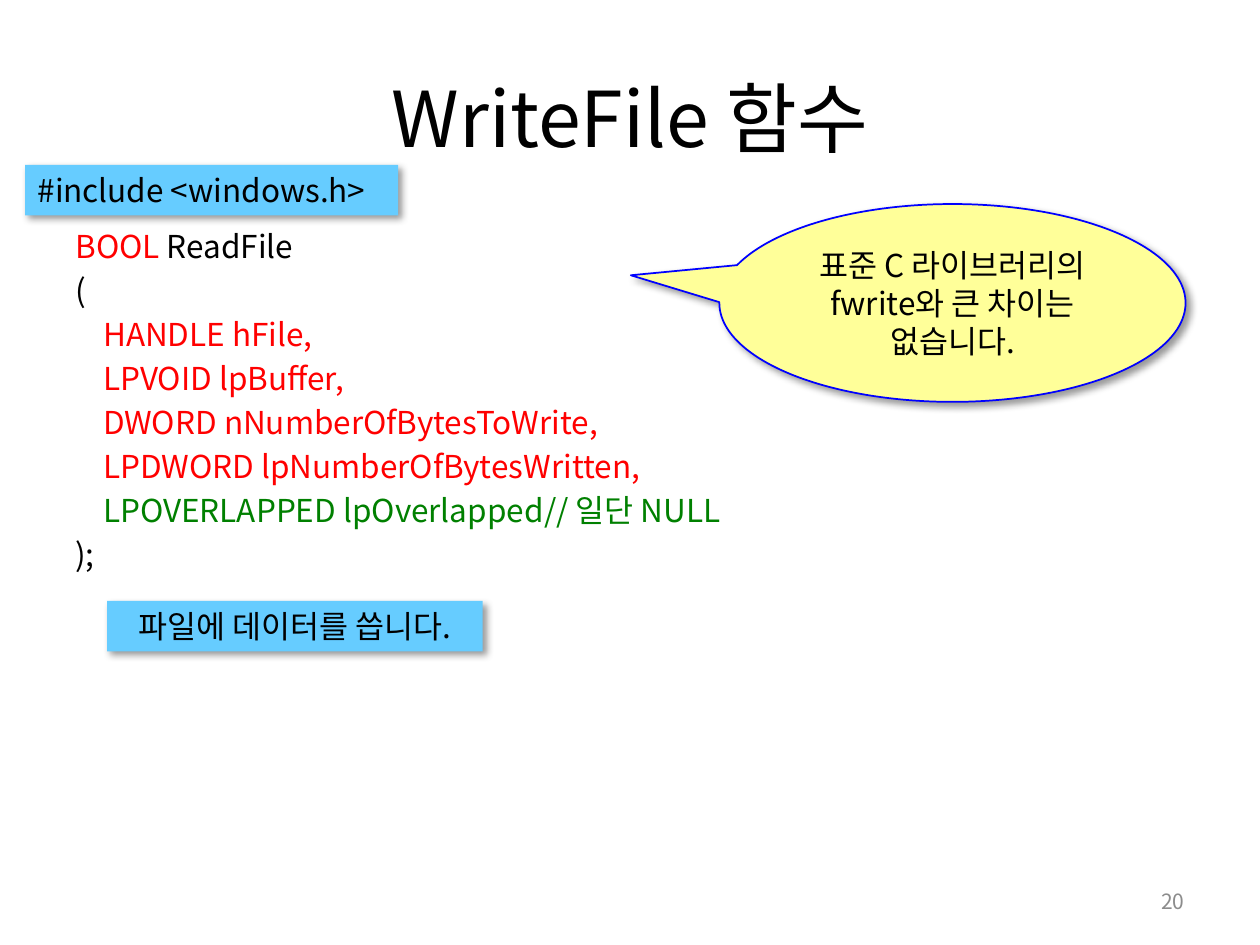
import dataclasses
import pptx
import pptx.util
import pptx.dml.color
import pptx.enum.shapes
import pptx.enum.text
import pptx.oxml
import pptx.oxml.ns

Inches = pptx.util.Inches
Pt = pptx.util.Pt
Align = pptx.enum.text.PP_ALIGN
Anchor = pptx.enum.text.MSO_ANCHOR
Shape = pptx.enum.shapes.MSO_SHAPE


@dataclasses.dataclass(frozen=True)
class Theme:
    font: str = "Noto Sans CJK KR"
    black: str = "000000"
    red: str = "FF0000"
    green: str = "008000"
    gray: str = "8C8C8C"
    sky: str = "66CCFF"
    cream: str = "FFFF99"
    blue: str = "0000FF"
    head: float = 44
    body: float = 18
    small: float = 12
    gap: float = 3.6


THEME = Theme()
SHADOW = (
    '<a:effectLst xmlns:a="http://schemas.openxmlformats.org/drawingml/2006/main">'
    '<a:outerShdw blurRad="50800" dist="38100" dir="2700000" algn="tl" rotWithShape="0">'
    '<a:srgbClr val="000000"><a:alpha val="40000"/></a:srgbClr>'
    "</a:outerShdw></a:effectLst>"
)
CODE = [
    (0, [("BOOL ", THEME.red), ("ReadFile", THEME.black)]),
    (0, [("(", THEME.black)]),
    (1, [("HANDLE hFile,", THEME.red)]),
    (1, [("LPVOID lpBuffer,", THEME.red)]),
    (1, [("DWORD nNumberOfBytesToWrite,", THEME.red)]),
    (1, [("LPDWORD lpNumberOfBytesWritten,", THEME.red)]),
    (1, [("LPOVERLAPPED lpOverlapped\t// 일단 NULL", THEME.green)]),
    (0, [(");", THEME.black)]),
]


def color(code):
    return pptx.dml.color.RGBColor.from_string(code)


def style(run, size, code):
    run.font.size = Pt(size)
    run.font.name = THEME.font
    run.font.color.rgb = color(code)
    east = pptx.oxml.parse_xml(
        f'<a:ea {pptx.oxml.ns.nsdecls("a")} typeface="{THEME.font}"/>'
    )
    run.font._element.find(pptx.oxml.ns.qn("a:latin")).addnext(east)


def write(shape, text, size, code, align, anchor):
    frame = shape.text_frame
    frame.text = text
    frame.word_wrap = True
    frame.vertical_anchor = anchor
    para = frame.paragraphs[0]
    para.alignment = align
    for run in para.runs:
        style(run, size, code)


def place(shape, box):
    shape.left, shape.top, shape.width, shape.height = map(Inches, box)


def add_title(slide, box):
    title = slide.shapes.title
    place(title, box)
    write(title, "WriteFile 함수", THEME.head, THEME.black, Align.CENTER, Anchor.MIDDLE)


def add_code(slide, box):
    frame = slide.shapes.add_textbox(*map(Inches, box)).text_frame
    frame.word_wrap = True
    for row, (level, parts) in enumerate(CODE):
        para = frame.add_paragraph() if row else frame.paragraphs[0]
        para.space_before = Pt(THEME.gap)
        props = para._p.get_or_add_pPr()
        props.set("marL", str(Inches(0.22 * level)))
        props.set("indent", "0")
        para.text = "".join(text for text, code in parts) if len(parts) == 1 else ""
        if len(parts) > 1:
            for text, code in parts:
                para.add_run().text = text
        for run, (text, code) in zip(para.runs, parts):
            style(run, THEME.body, code)
        if "\t" in para.text:
            props.append(pptx.oxml.parse_xml(
                f'<a:tabLst {pptx.oxml.ns.nsdecls("a")}>'
                f'<a:tab pos="{Inches(4)}" algn="l"/></a:tabLst>'
            ))


def add_block(slide, box, kind, text, fill, align, anchor):
    shape = slide.shapes.add_shape(kind, *map(Inches, box))
    shape.fill.solid()
    shape.fill.fore_color.rgb = color(fill)
    shape.line.fill.background()
    shape._element.spPr.append(pptx.oxml.parse_xml(SHADOW))
    write(shape, text, THEME.body, THEME.black, align, anchor)
    return shape


def add_label(slide, box, text, align):
    add_block(slide, box, Shape.RECTANGLE, text, THEME.sky, align, Anchor.TOP)


def add_callout(slide, box):
    shape = add_block(
        slide, box, Shape.OVAL_CALLOUT, "표준 C 라이브러리의 fwrite와 큰 차이는 없습니다.",
        THEME.cream, Align.CENTER, Anchor.MIDDLE,
    )
    shape.adjustments[0] = -0.69
    shape.adjustments[1] = -0.14
    shape.line.color.rgb = color(THEME.blue)
    shape.line.width = Pt(1)


def add_number(slide, box):
    shape = slide.shapes.add_textbox(*map(Inches, box))
    write(shape, "20", THEME.small, THEME.gray, Align.RIGHT, Anchor.MIDDLE)


def main():
    deck = pptx.Presentation()
    deck.slide_width, deck.slide_height = Inches(10), Inches(7.5)
    slide = deck.slides.add_slide(deck.slide_layouts[5])
    add_title(slide, (0.5, 0.3, 9, 1.25))
    add_code(slide, (0.5, 1.75, 9, 4.95))
    add_number(slide, (7.17, 6.95, 2.33, 0.4))
    add_label(slide, (0.2, 1.31, 2.96, 0.4), "#include <windows.h>", Align.LEFT)
    add_label(slide, (0.85, 4.77, 2.98, 0.4), "파일에 데이터를 씁니다.", Align.CENTER)
    add_callout(slide, (5.71, 1.62, 3.7, 1.57))
    deck.save("out.pptx")


if __name__ == "__main__":
    main()
